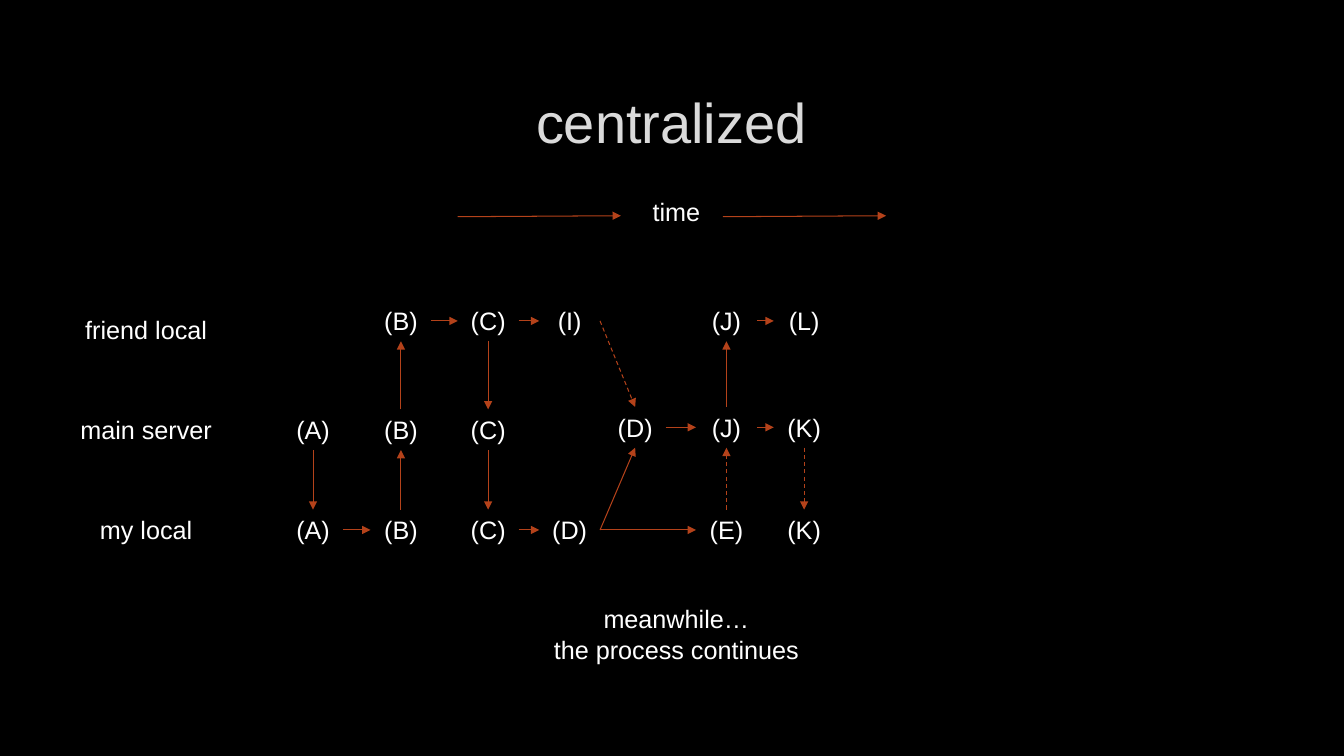
from lxml.etree import SubElement
from pptx import Presentation
from pptx.dml.color import RGBColor
from pptx.enum.dml import MSO_LINE
from pptx.enum.shapes import MSO_CONNECTOR
from pptx.enum.text import MSO_ANCHOR, MSO_AUTO_SIZE, PP_ALIGN
from pptx.oxml.ns import qn
from pptx.util import Pt

COLORS = {"background": "000000", "title": "DADADA", "text": "FFFFFF", "arrow": "B4421A"}
FONT = "Arial"
LINE_HEIGHT = 29.1
NODE_WIDTH = 43.4

# Connection sites of a text box
TOP, LEFT, BOTTOM, RIGHT = range(4)

# Left edges of the commit columns and top edges of the rows
COLUMNS = {"A": 201.9, "B": 264.7, "C": 327, "branch": 385.2,
           "merge": 432, "J": 497.2, "K": 552.7}
ROWS = {"friend": 214.7, "server": 292.4, "server late": 290.7, "my": 364}

ROW_LABELS = [("friend local", 221), ("main server", 292.4), ("my local", 364)]

# Commits: letter, column, row
COMMITS = [
    ("A", "A", "server"), ("A", "A", "my"),
    ("B", "B", "friend"), ("B", "B", "server"), ("B", "B", "my"),
    ("C", "C", "friend"), ("C", "C", "server"), ("C", "C", "my"),
    ("I", "branch", "friend"), ("D", "branch", "my"),
    ("D", "merge", "server late"),
    ("J", "J", "friend"), ("J", "J", "server late"), ("E", "J", "my"),
    ("L", "K", "friend"), ("K", "K", "server late"), ("K", "K", "my"),
]

# Steps: start commit, its site, end commit, its site, dashed
STEPS = [
    (("A", "server"), BOTTOM, ("A", "my"), TOP, False),
    (("A", "my"), RIGHT, ("B", "my"), LEFT, False),
    (("B", "my"), TOP, ("B", "server"), BOTTOM, False),
    (("B", "server"), TOP, ("B", "friend"), BOTTOM, False),
    (("B", "friend"), RIGHT, ("C", "friend"), LEFT, False),
    (("C", "friend"), RIGHT, ("I", "friend"), LEFT, False),
    (("C", "friend"), BOTTOM, ("C", "server"), TOP, False),
    (("C", "server"), BOTTOM, ("C", "my"), TOP, False),
    (("C", "my"), RIGHT, ("D", "my"), LEFT, False),
    (("D", "my"), RIGHT, ("D", "server late"), BOTTOM, False),
    (("I", "friend"), RIGHT, ("D", "server late"), TOP, True),
    (("D", "server late"), RIGHT, ("J", "server late"), LEFT, False),
    (("D", "my"), RIGHT, ("E", "my"), LEFT, False),
    (("E", "my"), TOP, ("J", "server late"), BOTTOM, True),
    (("J", "server late"), TOP, ("J", "friend"), BOTTOM, False),
    (("J", "server late"), RIGHT, ("K", "server late"), LEFT, False),
    (("K", "server late"), BOTTOM, ("K", "my"), TOP, True),
    (("J", "friend"), RIGHT, ("L", "friend"), LEFT, False),
]


def color(name):
    return RGBColor.from_string(COLORS[name])


def format_paragraph(para, size, color_name):
    para.alignment = PP_ALIGN.CENTER
    para.font.name = FONT
    para.font.size = Pt(size)
    para.font.color.rgb = color(color_name)


def add_title(slide, text):
    title = slide.shapes.title
    title.left, title.top, title.width, title.height = Pt(72), Pt(48.2), Pt(815), Pt(76.3)
    title.text_frame.text = text
    title.text_frame.vertical_anchor = MSO_ANCHOR.MIDDLE
    format_paragraph(title.text_frame.paragraphs[0], 40, "title")


def add_label(shapes, text, left, top, width, height=LINE_HEIGHT):
    box = shapes.add_textbox(Pt(left), Pt(top), Pt(width), Pt(height))
    frame = box.text_frame
    frame.word_wrap = True
    frame.auto_size = MSO_AUTO_SIZE.SHAPE_TO_FIT_TEXT
    frame.text = text
    for para in frame.paragraphs:
        format_paragraph(para, 18, "text")
    return box


def add_arrow(shapes, start=(0, 0), end=(0, 0), dashed=False):
    arrow = shapes.add_connector(MSO_CONNECTOR.STRAIGHT, *map(Pt, start + end))
    arrow.line.color.rgb = color("arrow")
    arrow.line.width = Pt(0.75)
    if dashed:
        arrow.line.dash_style = MSO_LINE.DASH
    properties = arrow.line._get_or_add_ln()
    SubElement(properties, qn("a:tailEnd"), type="triangle")
    SubElement(properties.getparent(), qn("a:effectLst"))
    return arrow


def add_time_axis(slide):
    axis = slide.shapes.add_group_shape().shapes
    for left in (326.9, 516.3):
        add_arrow(axis, (left, 154.8), (left + 116.6, 154.1))
    add_label(axis, "time", 450, 137, 66.3)


def add_history(slide):
    boxes = {}
    for letter, column, row in COMMITS:
        boxes[letter, row] = add_label(
            slide.shapes, f"({letter})", COLUMNS[column], ROWS[row], NODE_WIDTH)
    for start, start_site, end, end_site, dashed in STEPS:
        arrow = add_arrow(slide.shapes, dashed=dashed)
        arrow.begin_connect(boxes[start], start_site)
        arrow.end_connect(boxes[end], end_site)


def main():
    deck = Presentation()
    deck.slide_width, deck.slide_height = Pt(960), Pt(540)
    slide = deck.slides.add_slide(deck.slide_layouts[5])
    slide.background.fill.solid()
    slide.background.fill.fore_color.rgb = color("background")

    # Heading and direction of time
    add_title(slide, "centralized")
    add_time_axis(slide)

    # Repositories and their commits
    for name, top in ROW_LABELS:
        add_label(slide.shapes, name, 38.9, top, 131)
    add_history(slide)

    # Closing remark
    add_label(slide.shapes, "meanwhile…\nthe process continues", 337.7, 427.7, 290.9, 50.9)

    deck.save("out.pptx")


if __name__ == "__main__":
    main()
